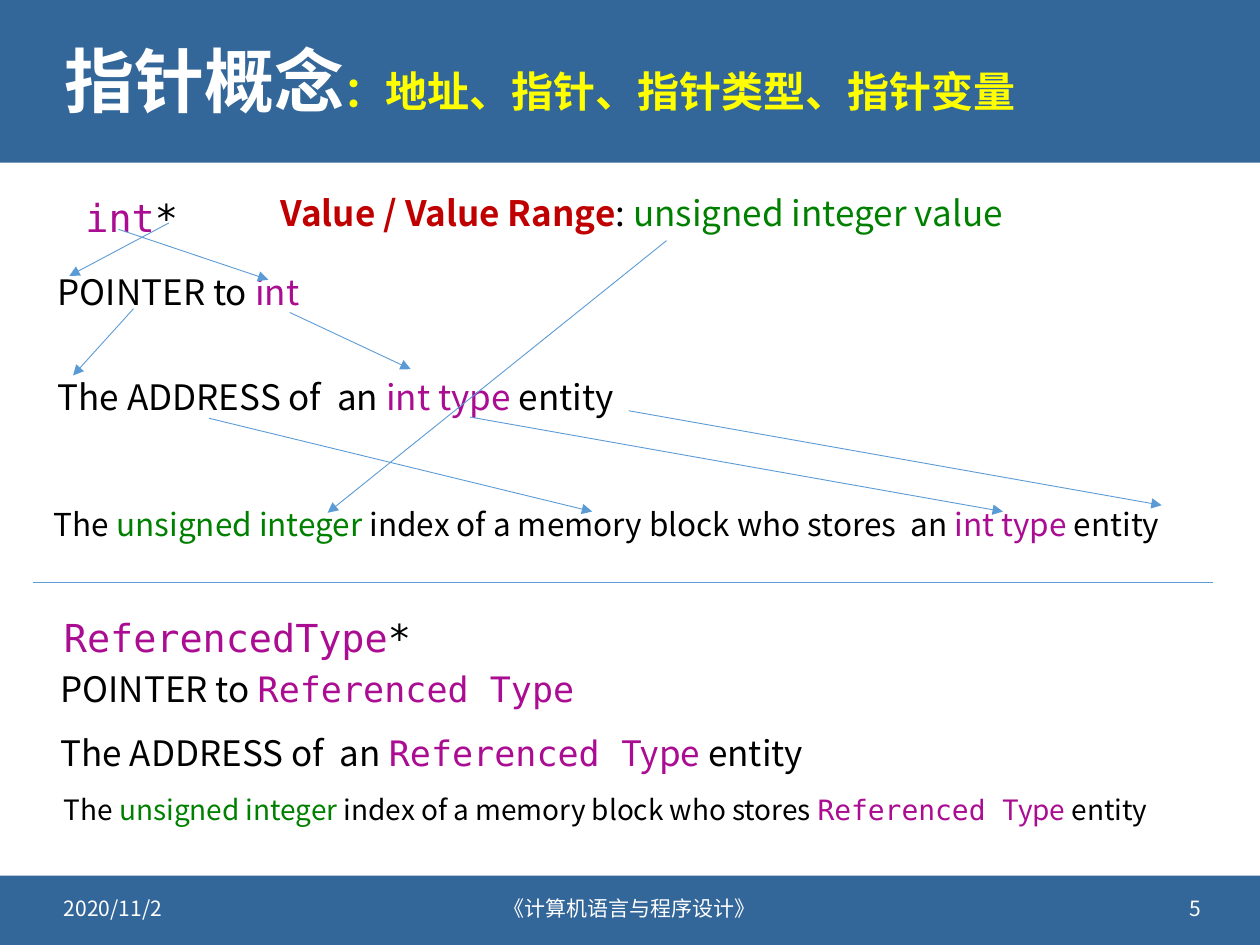
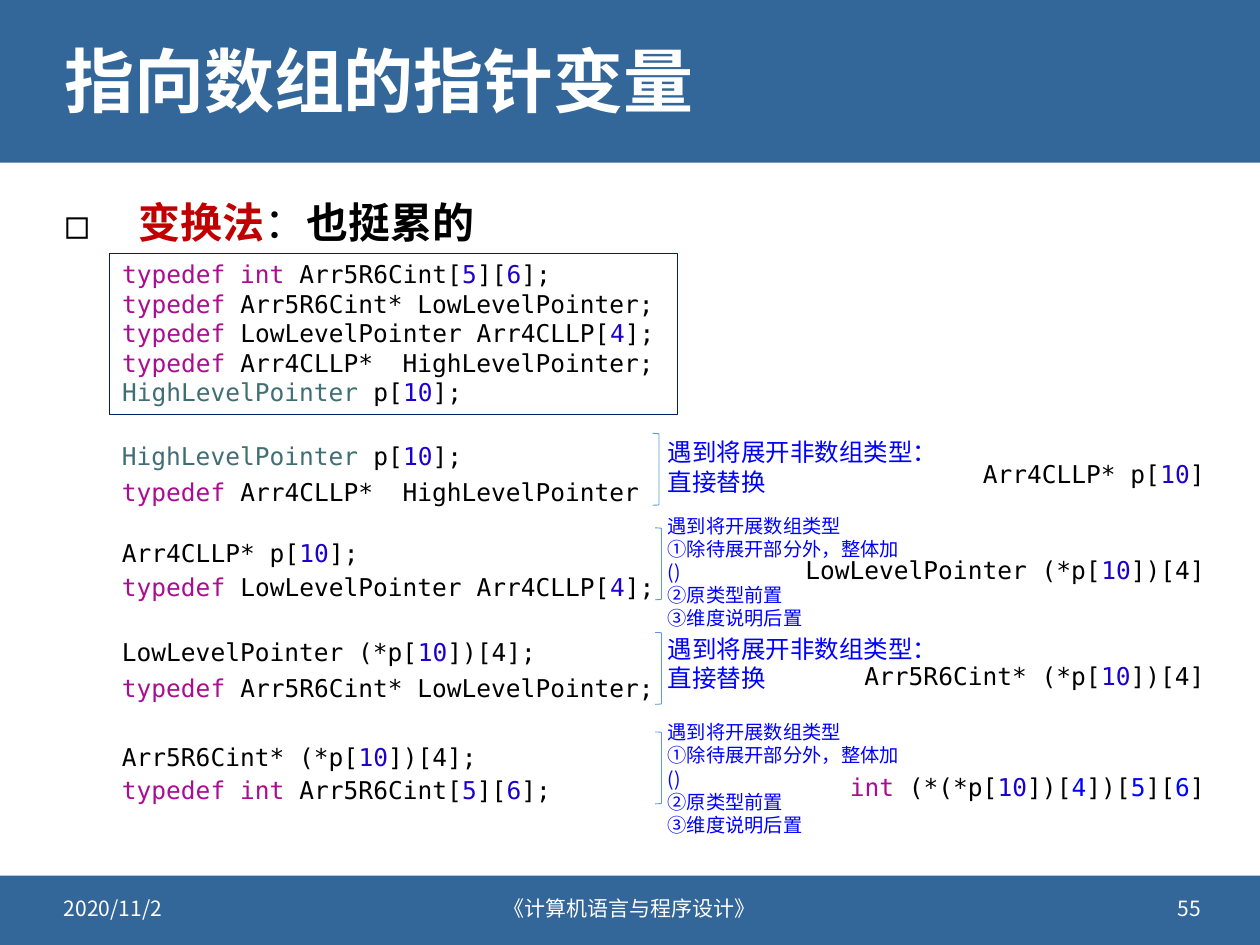
"""Build two slides on pointers in C."""
import pptx
import pptx.dml.color
import pptx.enum.shapes
import pptx.enum.text
import pptx.oxml
import pptx.oxml.ns
import pptx.util

Inches = pptx.util.Inches
Pt = pptx.util.Pt
ALIGN = pptx.enum.text.PP_ALIGN
FIT = pptx.enum.text.MSO_AUTO_SIZE
ANCHOR = pptx.enum.text.MSO_ANCHOR
SHAPE = pptx.enum.shapes.MSO_SHAPE

SANS = "Noto Sans CJK SC"
MONO = "DejaVu Sans Mono"
HUES = {
    "band": "336699", "white": "FFFFFF", "yellow": "FFFF00", "black": "000000",
    "red": "C00000", "green": "008000", "purple": "AA0D91", "teal": "3F6E74",
    "digit": "1C00CF", "blue": "0000FF", "sky": "5B9BD5", "navy": "002060",
}
LOOKS = {
    "title": ("white", SANS, True), "sub": ("yellow", SANS, True),
    "foot": ("white", SANS, False), "text": ("black", SANS, False),
    "strong": ("black", SANS, True), "red": ("red", SANS, True),
    "green": ("green", SANS, False), "kind": ("purple", SANS, False),
    "note": ("blue", SANS, False), "code": ("black", MONO, False),
    "key": ("purple", MONO, False), "name": ("teal", MONO, False),
    "num": ("digit", MONO, False), "dim": ("blue", MONO, False),
}

INT_ROWS = [
    (0.36, 2.1, 2.21, 20, [("POINTER to ", "text"), ("int", "kind")]),
    (0.36, 2.93, 4.87, 20, [("The ADDRESS of  an ", "text"), ("int type ", "kind"),
                            ("entity", "text")]),
    (0.33, 3.96, 9.67, 18, [("The ", "text"), ("unsigned integer ", "green"),
                            ("index of a memory block who stores  an ", "text"),
                            ("int type ", "kind"), ("entity", "text")]),
]
REF_ROWS = [
    (0.38, 5.25, 4.38, 20, [("POINTER to ", "text"), ("Referenced Type", "key")]),
    (0.38, 5.76, 6.2, 20, [("The ADDRESS of  an ", "text"), ("Referenced ", "key"),
                           ("Type ", "kind"), ("entity", "text")]),
    (0.41, 6.24, 9.13, 16, [("The ", "text"), ("unsigned integer ", "green"),
                            ("index of a memory block who stores ", "text"),
                            ("Referenced ", "key"), ("Type ", "kind"),
                            ("entity", "text")]),
]
ARROWS = [
    (5.29, 1.91, 2.6, 4.07), (1.34, 1.77, 0.55, 2.19), (0.94, 1.82, 2.13, 2.22),
    (2.3, 2.48, 3.26, 2.93), (1.06, 2.45, 0.58, 2.98), (3.73, 3.31, 7.96, 4.06),
    (4.99, 3.26, 9.22, 4.01), (1.66, 3.32, 4.7, 4.06),
]

ARRAY = [("typedef int", "key"), (" Arr5R6Cint[", "code"), ("5", "num"),
         ("][", "code"), ("6", "num"), ("];", "code")]
LOW = [("typedef", "key"), (" Arr5R6Cint* LowLevelPointer;", "code")]
CELLS = [("typedef ", "key"), ("LowLevelPointer Arr4CLLP[", "code"),
         ("4", "num"), ("];", "code")]
HIGH = [("typedef", "key"), (" Arr4CLLP*  HighLevelPointer", "code")]
PLAIN = ["遇到将展开非数组类型：", "直接替换"]
NESTED = ["遇到将开展数组类型", "①除待展开部分外，整体加()", "②原类型前置", "③维度说明后置"]


def ten(head, tail, look="code"):
    """Return the runs of a declaration of p[10]."""
    return [(head, look), ("p[" if look == "code" else " p[", "code"),
            ("10", "num"), (tail, "code")]


FINAL = [("int ", "key"), ("(*(*p[", "code"), ("10", "num"), ("])[", "code"),
         ("4", "dim"), ("])[", "code"), ("5", "dim"), ("][", "code"),
         ("6", "dim"), ("]", "code")]
START = ten("HighLevelPointer", "];", "name")
STEPS = [
    (START, 3.45, HIGH, 3.74, ten("Arr4CLLP* ", "]"), 3.59, 1.96,
     PLAIN, 3.42, 14, 5.18, 3.44),
    (ten("Arr4CLLP* ", "];"), 4.22, CELLS, 4.49,
     ten("LowLevelPointer (*", "])[4]"), 4.36, 3.49, NESTED, 4.03, 11, 5.2, 4.19),
    (ten("LowLevelPointer (*", "])[4];"), 5.01, LOW, 5.29,
     ten("Arr5R6Cint* (*", "])[4]"), 5.2, 2.9, PLAIN, 4.98, 14, 5.2, 5.02),
    (ten("Arr5R6Cint* (*", "])[4];"), 5.84, ARRAY, 6.1,
     FINAL, 6.08, 3.14, NESTED, 5.67, 11, 5.2, 5.81),
]


def hue(key):
    """Return a colour by its name."""
    return pptx.dml.color.RGBColor.from_string(HUES[key])


def add_xml(parent, tag, **attrs):
    """Append a drawing element to a parent."""
    child = pptx.oxml.parse_xml(
        f'<a:{tag} xmlns:a="http://schemas.openxmlformats.org/drawingml/2006/main"/>')
    for key, value in attrs.items():
        child.set(key, value)
    parent.append(child)
    return child


def add_runs(para, runs, size):
    """Add styled runs to a paragraph."""
    for words, look in runs:
        tint, face, bold = LOOKS[look]
        run = para.add_run()
        run.text = words
        run.font.size = Pt(size)
        run.font.bold = bold
        run.font.name = face
        run.font.color.rgb = hue(tint)
        add_xml(run.font._element, "ea", typeface=face)


def place(shape, left, top, width, height):
    """Move and size a shape."""
    shape.left, shape.top = Inches(left), Inches(top)
    shape.width, shape.height = Inches(width), Inches(height)


def add_text(slide, left, top, width, height, lines, size,
             align=ALIGN.LEFT, wrap=False, space=None):
    """Add a text box with one paragraph per line."""
    box = slide.shapes.add_textbox(
        Inches(left), Inches(top), Inches(width), Inches(height))
    frame = box.text_frame
    frame.word_wrap = wrap
    frame.auto_size = FIT.SHAPE_TO_FIT_TEXT
    for index, runs in enumerate(lines):
        para = frame.add_paragraph() if index else frame.paragraphs[0]
        para.alignment = align
        para.line_spacing = space
        add_runs(para, runs, size)
    return box


def add_line(slide, ends, arrow=True):
    """Add a thin line, with an arrowhead if asked."""
    line = slide.shapes.add_connector(
        pptx.enum.shapes.MSO_CONNECTOR.STRAIGHT, *map(Inches, ends))
    line.line.color.rgb = hue("sky")
    line.line.width = Pt(0.5)
    if arrow:
        add_xml(line.line._get_or_add_ln(), "tailEnd", type="triangle")
    add_xml(line._element.spPr, "effectLst")


def add_hook(slide, left, top):
    """Add a right bracket."""
    hook = slide.shapes.add_shape(
        SHAPE.RIGHT_BRACKET, Inches(left), Inches(top), Inches(0.05), Inches(0.57))
    hook.shadow.inherit = False
    hook.fill.background()
    hook.line.color.rgb = hue("sky")
    hook.line.width = Pt(0.5)


def add_bands(deck, slide):
    """Put the top and bottom bands on the slide master."""
    tree = deck.slide_master.shapes.element
    for top, height in ((0, 1.29), (6.95, 0.55)):
        band = slide.shapes.add_shape(
            SHAPE.RECTANGLE, 0, Inches(top), Inches(10), Inches(height))
        band.shadow.inherit = False
        band.fill.solid()
        band.fill.fore_color.rgb = hue("band")
        band.line.fill.background()
        tree.insert(2, band._element)


def add_slide(deck, layout, title, number):
    """Add a slide with its title and footers."""
    slide = deck.slides.add_slide(deck.slide_layouts[layout])
    head = slide.shapes.title
    place(head, 0.41, 0.18, 9.19, 0.99)
    head.text_frame.auto_size = FIT.NONE
    head.text_frame.vertical_anchor = ANCHOR.MIDDLE
    para = head.text_frame.paragraphs[0]
    para.alignment = ALIGN.LEFT
    para.line_spacing = 0.9
    for words, look, size in title:
        add_runs(para, [(words, look)], size)
    for left, width, words, align in (
            (0.41, 2.4, "2020/11/2", ALIGN.LEFT),
            (3.2, 3.6, "《计算机语言与程序设计》", ALIGN.CENTER),
            (7.23, 2.4, number, ALIGN.RIGHT)):
        foot = add_text(slide, left, 7.01, width, 0.4, [[(words, "foot")]], 12,
                        align, wrap=True)
        foot.text_frame.auto_size = FIT.NONE
        foot.text_frame.vertical_anchor = ANCHOR.MIDDLE
    return slide


def fill_body(slide, runs):
    """Write the bulleted line in the body placeholder."""
    body = slide.placeholders[1]
    place(body, 0.41, 1.47, 9.19, 0.54)
    body.text_frame.auto_size = FIT.NONE
    para = body.text_frame.paragraphs[0]
    para.line_spacing = 1.1
    para.space_before = Pt(0)
    props = para._p.get_or_add_pPr()
    props.set("marL", str(Inches(0.59)))
    props.set("indent", str(-Inches(0.59)))
    add_xml(add_xml(props, "buClr"), "srgbClr", val=HUES["black"])
    add_xml(props, "buFont", typeface=SANS)
    add_xml(props, "buChar", char="◻")
    add_runs(para, runs, 24)


def add_ideas(deck):
    """Add the slide on what a pointer is."""
    slide = add_slide(deck, 5, [("指针概念", "title", 40),
                                ("：地址、指针、指针类型、指针变量", "sub", 24)], "5")
    add_bands(deck, slide)
    for left, top, width, word in ((0.58, 1.45, 1.08, "int"),
                                   (0.41, 4.79, 3.93, "ReferencedType")):
        add_text(slide, left, top, width, 0.48, [[(word, "key"), ("*", "code")]],
                 22, wrap=True, space=1.1)
    add_text(slide, 2.13, 1.47, 6.31, 0.44,
             [[("Value / Value Range", "red"), (": ", "text"),
               ("unsigned integer value", "green")]], 20)
    for left, top, width, size, runs in INT_ROWS + REF_ROWS:
        add_text(slide, left, top, width, 0.44, [runs], size)
    for ends in ARROWS:
        add_line(slide, ends)
    add_line(slide, (0.26, 4.62, 9.63, 4.62), arrow=False)


def add_arrays(deck):
    """Add the slide on pointers to arrays."""
    slide = add_slide(deck, 1, [("指向数组的指针变量", "title", 40)], "55")
    fill_body(slide, [("变换法", "red"), ("：", "text"), ("也挺累的", "strong")])
    lines = [ARRAY, LOW, CELLS, HIGH + [(";", "code")], START]
    frame = add_text(slide, 0.87, 2.01, 4.51, 1.28, lines, 14, wrap=True)
    frame.line.color.rgb = hue("navy")
    frame.line.width = Pt(0.75)
    for (given, high, rule, low, result, mid, width,
         notes, top, size, left, hook) in STEPS:
        add_text(slide, 0.87, high, 5, 0.34, [given], 14, wrap=True)
        add_text(slide, 0.87, low, 5, 0.34, [rule], 14, wrap=True)
        add_text(slide, 9.66 - width, mid, width, 0.34, [result], 14, ALIGN.RIGHT)
        add_hook(slide, left, hook)
        add_text(slide, 5.2, top, 2.36 if size == 14 else 2.1, 0.57,
                 [[(note, "note")] for note in notes], size, wrap=True)


def main():
    """Build and save the deck."""
    deck = pptx.Presentation()
    deck.slide_width, deck.slide_height = Inches(10), Inches(7.5)
    add_ideas(deck)
    add_arrays(deck)
    deck.save("out.pptx")


if __name__ == "__main__":
    main()
